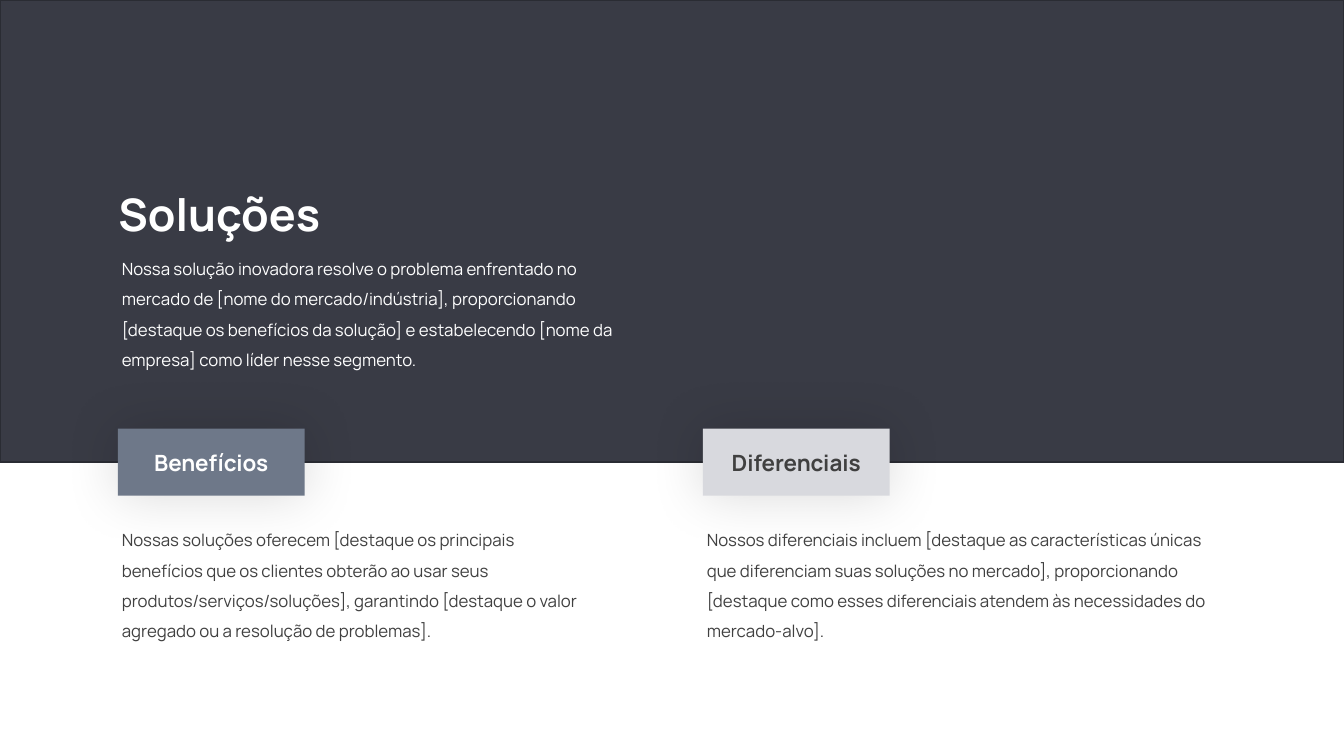
"""Build the solutions slide with a dark header band and two labelled columns."""
from lxml import etree
from pptx import Presentation
from pptx.dml.color import RGBColor
from pptx.enum.shapes import MSO_SHAPE
from pptx.enum.text import MSO_ANCHOR, MSO_AUTO_SIZE, PP_ALIGN
from pptx.oxml.ns import qn
from pptx.util import Pt

RECTANGLE = MSO_SHAPE.RECTANGLE
ROUNDED_RECTANGLE = MSO_SHAPE.ROUNDED_RECTANGLE
TOP, MIDDLE = MSO_ANCHOR.TOP, MSO_ANCHOR.MIDDLE
LEFT, CENTER = PP_ALIGN.LEFT, PP_ALIGN.CENTER
FIT_SHAPE, NO_FIT = MSO_AUTO_SIZE.SHAPE_TO_FIT_TEXT, MSO_AUTO_SIZE.NONE
color = RGBColor.from_string

WHITE, DARK_GRAY = "FFFFFF", "404040"
LABEL_LEFT, COLUMN_STEP, TEXT_OFFSET = 63.2, 313.4, -5


def write(shape, text, size, text_color, bold=False, alignment=LEFT, anchor=TOP, spacing=1.0):
    frame = shape.text_frame
    frame.word_wrap = True
    frame.vertical_anchor = anchor
    paragraph = frame.paragraphs[0]
    paragraph.alignment = alignment
    paragraph.line_spacing = spacing
    run = paragraph.add_run()
    run.text = text
    run.font.name = "Manrope"
    run.font.size = Pt(size)
    run.font.bold = bold
    run.font.color.rgb = color(text_color)


def add_body(slide, left, top, width, text, text_color):
    body = slide.shapes.add_textbox(Pt(left), Pt(top), Pt(width), Pt(71.3))
    write(body, text, 9, text_color, spacing=1.5)
    body.text_frame.auto_size = FIT_SHAPE


presentation = Presentation()
presentation.slide_width, presentation.slide_height = Pt(720), Pt(405)
slide = presentation.slides.add_slide(presentation.slide_layouts[5])

band = slide.shapes.add_shape(RECTANGLE, 0, 0, Pt(720), Pt(247.6))
band.shadow.inherit = False
band.fill.solid()
band.fill.fore_color.rgb = color("393B45")
band.line.color.rgb = color("2A2C33")
band.line.width = Pt(1)

title = slide.shapes.title
title.left, title.top, title.width, title.height = Pt(56.2), Pt(96.5), Pt(241.2), Pt(36)
write(title, "Soluções", 24, WHITE, bold=True)
title.text_frame.auto_size = NO_FIT
slide.shapes.element.append(title.element)

add_body(
    slide, LABEL_LEFT + TEXT_OFFSET, 129.6, 296,
    "Nossa solução inovadora resolve o problema enfrentado no mercado de "
    "[nome do mercado/indústria], proporcionando [destaque os benefícios da solução] "
    "e estabelecendo [nome da empresa] como líder nesse segmento.",
    WHITE,
)

columns = [
    ("Benefícios", "6E7889", WHITE, 262,
     "Nossas soluções oferecem [destaque os principais benefícios que os clientes obterão "
     "ao usar seus produtos/serviços/soluções], garantindo [destaque o valor agregado ou "
     "a resolução de problemas]."),
    ("Diferenciais", "D8D9DE", DARK_GRAY, 283,
     "Nossos diferenciais incluem [destaque as características únicas que diferenciam suas "
     "soluções no mercado], proporcionando [destaque como esses diferenciais atendem às "
     "necessidades do mercado-alvo]."),
]
for index, (heading, fill, heading_color, text_width, text) in enumerate(columns):
    left = LABEL_LEFT + index * COLUMN_STEP
    label = slide.shapes.add_shape(ROUNDED_RECTANGLE, Pt(left), Pt(229.6), Pt(100), Pt(36))
    label.adjustments[0] = 0
    label.fill.solid()
    label.fill.fore_color.rgb = color(fill)
    label.line.fill.background()
    label.shadow.inherit = False
    effects = label.element.spPr.find(qn("a:effectLst"))
    shadow = etree.SubElement(
        effects, qn("a:outerShdw"), blurRad=str(Pt(30)), dist="0", dir="0",
        algn="ctr", rotWithShape="0",
    )
    shadow_color = etree.SubElement(shadow, qn("a:srgbClr"), val="000000")
    etree.SubElement(shadow_color, qn("a:alpha"), val="15000")
    write(label, heading, 12, heading_color, bold=True, alignment=CENTER, anchor=MIDDLE)
    add_body(slide, left + TEXT_OFFSET, 275, text_width, text, DARK_GRAY)

presentation.save("out.pptx")
